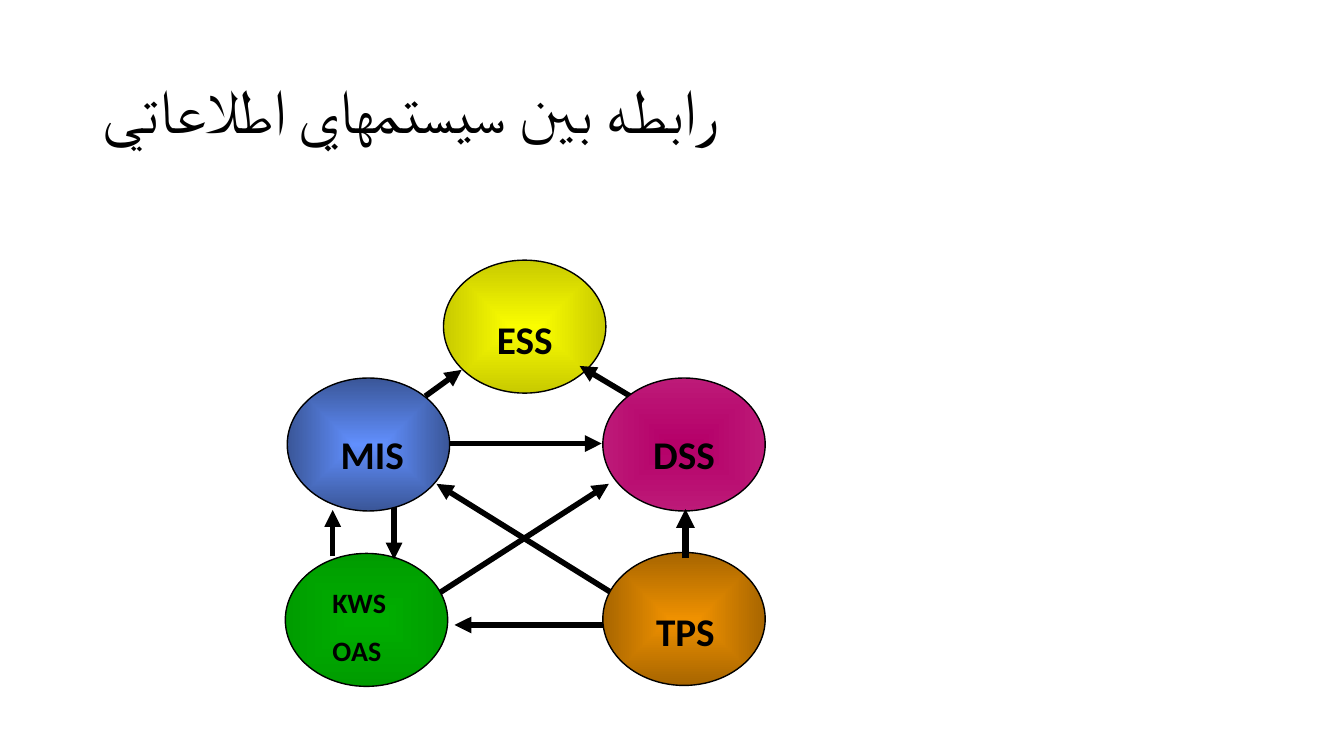
from dataclasses import dataclass

import pptx
import pptx.dml.color
import pptx.enum.shapes
import pptx.enum.text
import pptx.oxml
import pptx.oxml.ns
import pptx.util

Pt = pptx.util.Pt
qn = pptx.oxml.ns.qn
NS = pptx.oxml.ns.nsdecls("a")


def rgb(code):
    return pptx.dml.color.RGBColor.from_string(code)


@dataclass(frozen=True)
class Theme:
    font: str = "Calibri"
    ink: str = "000000"
    title_size: float = 44
    label_size: float = 28
    small_label_size: float = 20
    outline: float = 1
    arrow: float = 4
    heavy_arrow: float = 4.5


THEME = Theme()
OVAL_WIDTH, OVAL_HEIGHT = 116, 95
LABEL_WIDTH = 72.7

# Left, top, centre colour, edge colour
OVALS = {
    "ESS": (316.8, 185.8, "FAFD00", "C8CA00"),
    "TPS": (430.6, 394.6, "EF9100", "A76500"),
    "KWS": (203.8, 395.3, "00AE00", "009C00"),
    "DSS": (430.6, 270, "B50069", "BD1A78"),
    "MIS": (205.2, 270, "618FFD", "3A5698"),
}

# Lines, left, top, height, type size
LABELS = [
    (["ESS"], 347.8, 221.8, 40.3, THEME.label_size),
    (["TPS"], 461.5, 430.6, 40.3, THEME.label_size),
    (["KWS", "OAS"], 230.4, 414.7, 67, THEME.small_label_size),
    (["DSS"], 459.4, 303.8, 40.3, THEME.label_size),
    (["MIS"], 236.2, 303.8, 40.3, THEME.label_size),
]

# Start and end of the arrows that leave from beneath each oval
FLOWS_BENEATH = {
    "ESS": [],
    "TPS": [((450.7, 432), (311.8, 345.6)), ((442.8, 446.4), (324.7, 446.4))],
    "KWS": [((307.4, 427.7), (434.9, 345.6)), ((237.6, 397.4), (237.6, 364.3))],
    "DSS": [((465.8, 292.3), (414, 261.4))],
    "MIS": [((300.2, 316.8), (429.8, 316.8)), ((281.5, 361.4), (281.5, 399.6))],
}
FLOWS_ON_TOP = [
    ((303.8, 283), (329.8, 264.2), THEME.arrow),
    ((489.6, 398.9), (489.6, 363.6), THEME.heavy_arrow),
]


def add_run(paragraph, text, size, bold=False):
    run = paragraph.add_run()
    run.text = text
    run.font.name = THEME.font
    run.font.size = Pt(size)
    run.font.bold = bold
    run.font.color.rgb = rgb(THEME.ink)
    return run


def set_title(slide, text):
    title = slide.shapes.title
    title.left, title.top = Pt(66), Pt(29)
    title.width, title.height = Pt(828), Pt(104.4)
    title.text_frame.vertical_anchor = pptx.enum.text.MSO_ANCHOR.MIDDLE
    paragraph = title.text_frame.paragraphs[0]
    paragraph.alignment = pptx.enum.text.PP_ALIGN.LEFT
    paragraph.line_spacing = 0.9
    run = add_run(paragraph, text, THEME.title_size)
    run.font._element.append(
        pptx.oxml.parse_xml(f'<a:cs {NS} typeface="{THEME.font}"/>'))


def add_oval(slide, left, top, centre, edge):
    oval = slide.shapes.add_shape(
        pptx.enum.shapes.MSO_SHAPE.OVAL,
        Pt(left), Pt(top), Pt(OVAL_WIDTH), Pt(OVAL_HEIGHT))
    oval.shadow.inherit = False
    oval.line.color.rgb = rgb(THEME.ink)
    oval.line.width = Pt(THEME.outline)
    oval.fill.gradient()
    for stop, colour in zip(oval.fill.gradient_stops, (centre, edge)):
        stop.color.rgb = rgb(colour)
    gradient = oval._element.spPr.find(qn("a:gradFill"))
    outward = pptx.oxml.parse_xml(
        f'<a:path {NS} path="shape">'
        '<a:fillToRect l="50000" t="50000" r="50000" b="50000"/></a:path>')
    gradient.replace(gradient.find(qn("a:lin")), outward)


def add_label(slide, lines, left, top, height, size):
    label = slide.shapes.add_textbox(Pt(left), Pt(top), Pt(LABEL_WIDTH), Pt(height))
    frame = label.text_frame
    frame.word_wrap = True
    frame.auto_size = pptx.enum.text.MSO_AUTO_SIZE.SHAPE_TO_FIT_TEXT
    for index, line in enumerate(lines):
        paragraph = frame.add_paragraph() if index else frame.paragraphs[0]
        if index:
            paragraph.space_before = Pt(size / 2)
        add_run(paragraph, line, size, bold=True)


def add_arrow(slide, start, end, width=THEME.arrow):
    arrow = slide.shapes.add_connector(
        pptx.enum.shapes.MSO_CONNECTOR.STRAIGHT,
        *(Pt(value) for value in (*start, *end)))
    arrow.line.color.rgb = rgb(THEME.ink)
    arrow.line.width = Pt(width)
    arrow.line._get_or_add_ln().append(
        pptx.oxml.parse_xml(f'<a:tailEnd {NS} type="triangle"/>'))
    arrow._element.spPr.append(pptx.oxml.parse_xml(f"<a:effectLst {NS}/>"))


def main():
    deck = pptx.Presentation()
    deck.slide_width, deck.slide_height = Pt(960), Pt(540)
    slide = deck.slides.add_slide(deck.slide_layouts.get_by_name("Title Only"))
    set_title(slide, "رابطه بين سيستمهاي اطلاعاتي")
    for system, oval in OVALS.items():
        for start, end in FLOWS_BENEATH[system]:
            add_arrow(slide, start, end)
        add_oval(slide, *oval)
    for flow in FLOWS_ON_TOP:
        add_arrow(slide, *flow)
    for label in LABELS:
        add_label(slide, *label)
    deck.save("out.pptx")


if __name__ == "__main__":
    main()
